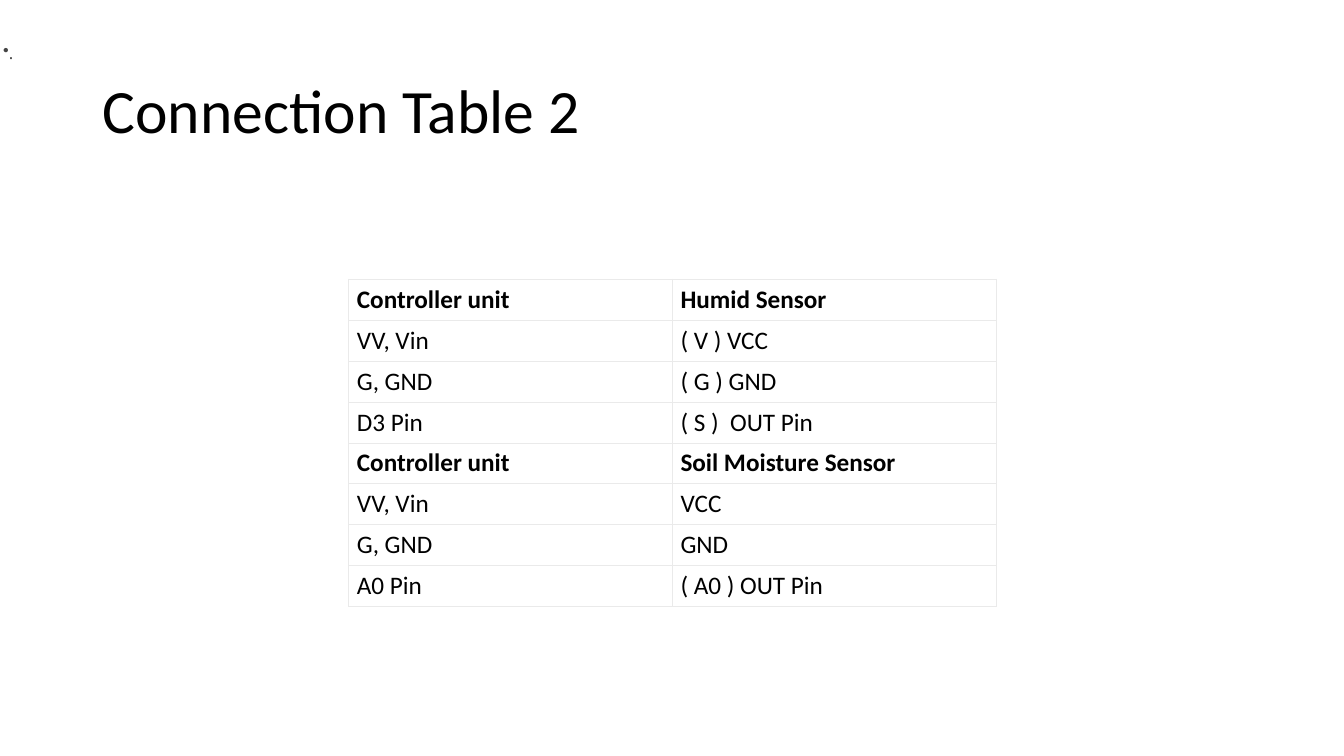
from lxml.etree import SubElement
from pptx import Presentation
from pptx.dml.color import RGBColor
from pptx.enum.shapes import MSO_SHAPE
from pptx.enum.text import MSO_ANCHOR, PP_ALIGN
from pptx.oxml import parse_xml
from pptx.oxml.ns import nsdecls, qn
from pptx.util import Inches, Pt

BLACK = "000000"
WHITE = "FFFFFF"
BORDER = "EAEAEA"
BOARD = "Controller unit"
CONNECTIONS = [
    (BOARD, "Humid Sensor"),
    ("VV, Vin", "( V ) VCC"),
    ("G, GND", "( G ) GND"),
    ("D3 Pin", "( S ) \u00a0OUT Pin"),
    (BOARD, "Soil Moisture Sensor"),
    ("VV, Vin", "VCC"),
    ("G, GND", "GND"),
    ("A0 Pin", "( A0 ) OUT Pin"),
]


def color(hex_string):
    return RGBColor.from_string(hex_string)


def add_run(paragraph, text, size, font, hex_string, bold=False):
    run = paragraph.add_run()
    run.text = text
    run.font.size = Pt(size)
    run.font.name = font
    run.font.bold = bold
    run.font.color.rgb = color(hex_string)


def add_title(slide, text):
    title = slide.shapes.add_textbox(Inches(0.92), Inches(0.4), Inches(11.5), Inches(1.45))
    frame = title.text_frame
    frame.word_wrap = True
    frame.vertical_anchor = MSO_ANCHOR.MIDDLE
    paragraph = frame.paragraphs[0]
    paragraph.line_spacing = 0.9
    add_run(paragraph, text, 44, "Calibri", BLACK)


def set_borders(cell, hex_string, width):
    properties = cell._tc.get_or_add_tcPr()
    for position, side in enumerate(("lnL", "lnR", "lnT", "lnB")):
        properties.insert(position, parse_xml(
            f'<a:{side} {nsdecls("a")} w="{Pt(width)}"><a:solidFill>'
            f'<a:srgbClr val="{hex_string}"/></a:solidFill></a:{side}>'))


def fill_cell(cell, text, bold):
    cell.fill.background()
    set_borders(cell, BORDER, 0.6)
    cell.vertical_anchor = MSO_ANCHOR.MIDDLE
    cell.margin_left = cell.margin_right = Inches(0.08)
    cell.margin_top = cell.margin_bottom = Inches(0.05)
    add_run(cell.text_frame.paragraphs[0], text, 18, "Calibri", BLACK, bold)


def add_connection_table(slide):
    table = slide.shapes.add_table(
        len(CONNECTIONS), 2, Inches(3.46), Inches(2.77), Inches(6.42), Inches(3.25)).table
    table.first_row = False
    table.horz_banding = False
    for row, texts in enumerate(CONNECTIONS):
        for column, text in enumerate(texts):
            fill_cell(table.cell(row, column), text, texts[0] == BOARD)


def add_bullet_box(slide, text):
    shape = slide.shapes.add_shape(
        MSO_SHAPE.RECTANGLE, Inches(0.03), Inches(0.42), Inches(5.49), Inches(0.41))
    shape.shadow.inherit = False
    shape.fill.solid()
    shape.fill.fore_color.rgb = color(WHITE)
    shape.line.fill.background()
    frame = shape.text_frame
    frame.word_wrap = True
    frame.vertical_anchor = MSO_ANCHOR.MIDDLE
    frame.margin_left = frame.margin_top = frame.margin_right = 0
    frame.margin_bottom = Inches(0.21)
    paragraph = frame.paragraphs[0]
    paragraph.alignment = PP_ALIGN.LEFT
    bullet = SubElement(paragraph._p.get_or_add_pPr(), qn("a:buChar"))
    bullet.set("char", "\u2022")
    add_run(paragraph, text, 12, "Open Sans", "444444")


def main():
    presentation = Presentation()
    presentation.slide_width = Inches(13.33)
    presentation.slide_height = Inches(7.5)
    slide = presentation.slides.add_slide(presentation.slide_layouts[6])
    add_title(slide, "Connection Table 2")
    add_connection_table(slide)
    add_bullet_box(slide, ".")
    presentation.save("out.pptx")


main()
